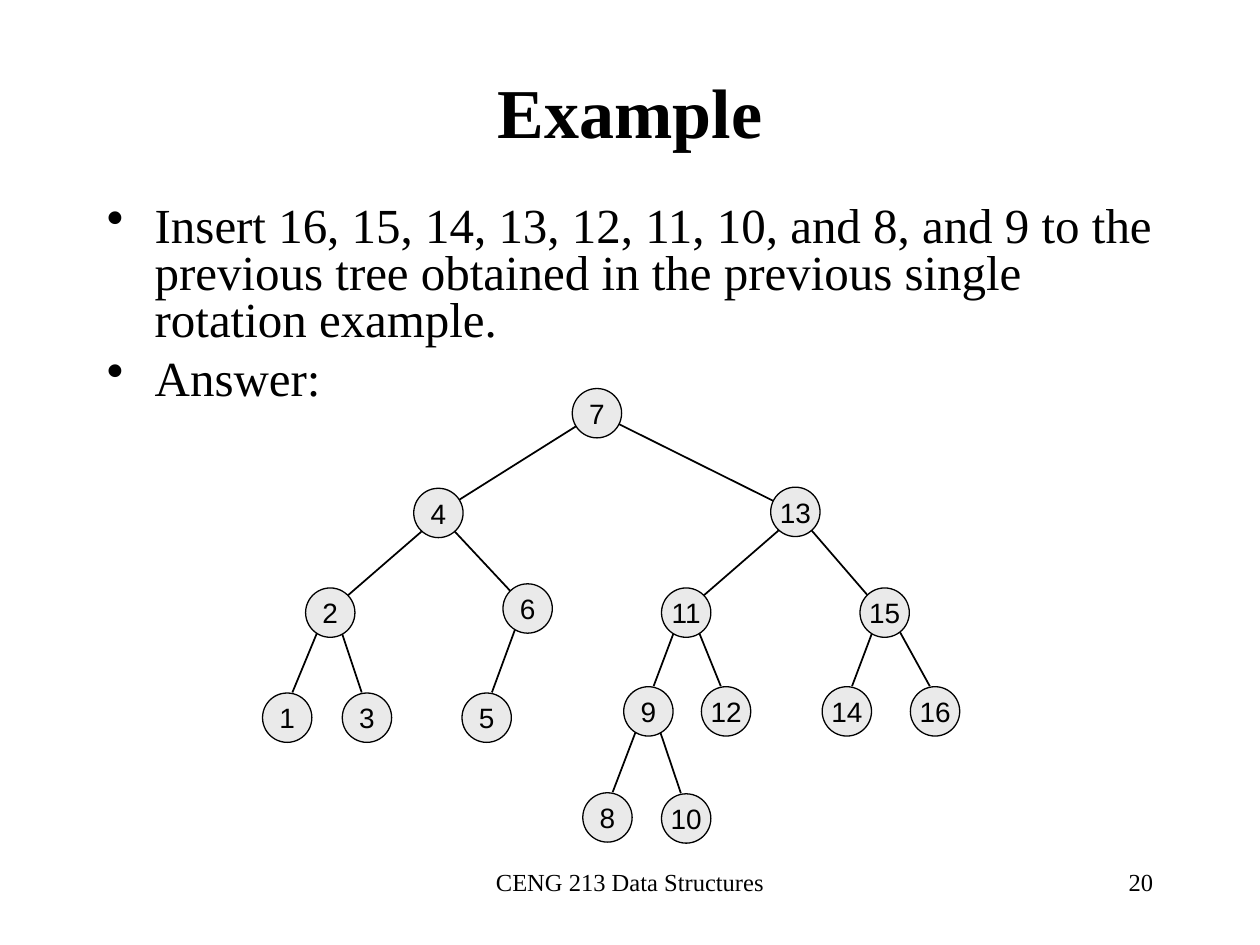
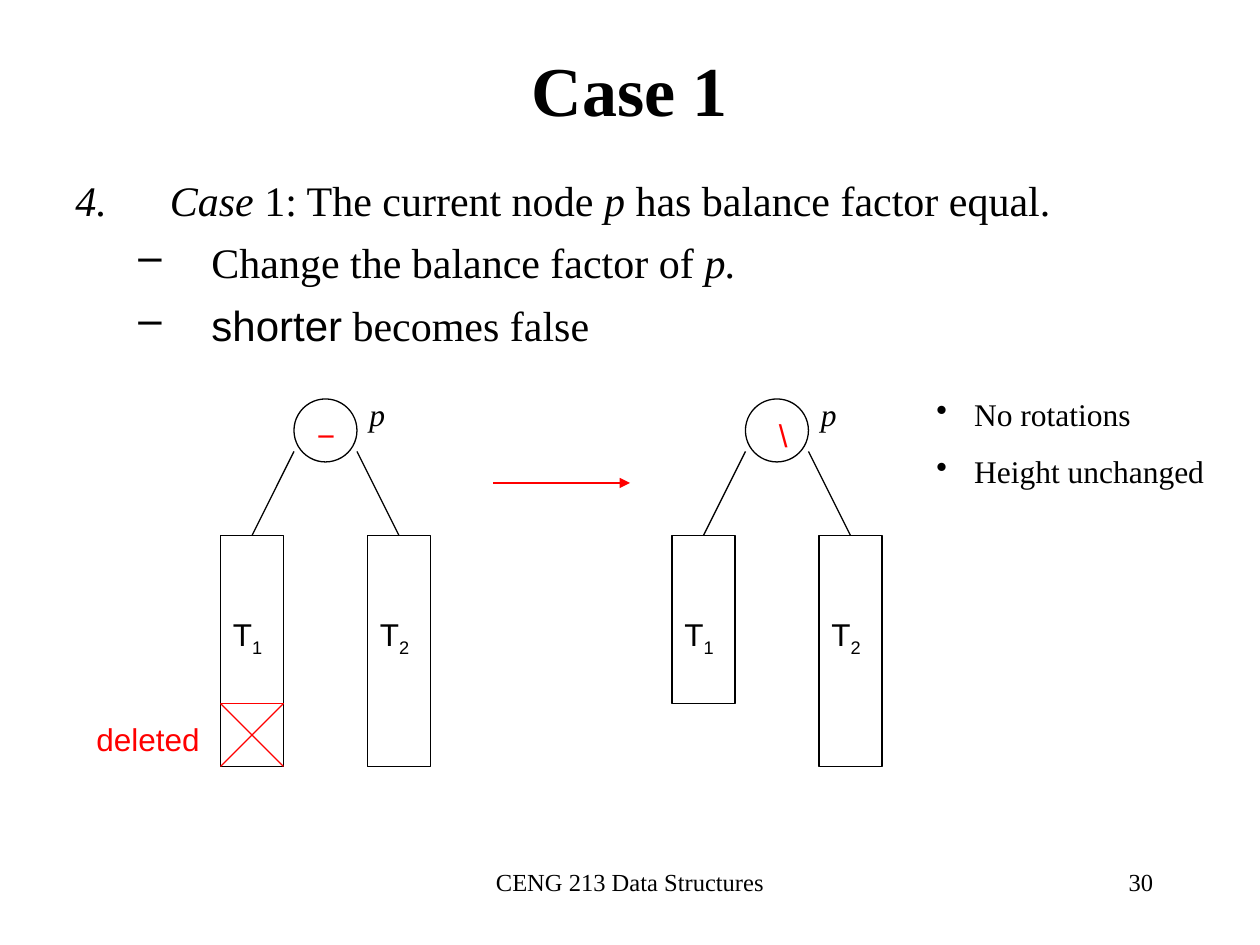
from dataclasses import dataclass

from lxml import etree
from pptx import Presentation
from pptx.dml.color import RGBColor
from pptx.enum.shapes import MSO_CONNECTOR, MSO_SHAPE
from pptx.enum.text import MSO_ANCHOR, MSO_AUTO_SIZE, PP_ALIGN
from pptx.oxml.ns import qn
from pptx.util import Inches, Pt

LEFT, MID, RIGHT = PP_ALIGN.LEFT, PP_ALIGN.CENTER, PP_ALIGN.RIGHT
CENTRE, FIXED = MSO_ANCHOR.MIDDLE, MSO_AUTO_SIZE.NONE
OVAL, RECT = MSO_SHAPE.OVAL, MSO_SHAPE.RECTANGLE
LINE = MSO_CONNECTOR.STRAIGHT
UNIT = Inches(1) / 12
DISC = 4.7


@dataclass(frozen=True)
class Theme:
    """Colours, fonts and type sizes of the deck."""

    ink: str = "000000"
    red: str = "FF0000"
    disc: str = "EAEAEA"
    serif: str = "Times New Roman"
    sans: str = "Arial"
    head: int = 40
    lead: int = 28
    body: int = 24
    note: int = 18
    node: int = 16
    foot: int = 14
    thin: float = 0.75


THEME = Theme()

NODES = {
    "7": (29.5, 0), "4": (14.4, 9.5), "13": (48.4, 9.4),
    "2": (4.1, 19), "6": (22.9, 18.6), "11": (38, 19), "15": (56.9, 19),
    "1": (0, 29), "3": (7.6, 29), "5": (19, 29), "9": (34.4, 28.4),
    "12": (41.8, 28.4), "14": (53.3, 28.4), "16": (61.7, 28.4),
    "8": (30.5, 38.5), "10": (38, 38.6),
}
TIERS = [
    (("7-4", "7-13"), (0, 0, 0, 0)),
    (("4-2", "4-6", "13-11", "13-15"), (1.4, 1.6, 1.4, 1.4)),
    (("2-1", "2-3", "6-5", "11-9", "11-12", "15-14", "15-16", "9-8", "9-10"),
     (0.5, 0.1, 0.5, 2.4)),
]


def cells(*spans):
    """Turn grid cells into slide lengths."""
    return [round(span * UNIT) for span in spans]


def style(run, size, face, tint, mark=""):
    """Format a run; mark holds b for bold, i for italic, s for subscript."""
    font = run.font
    font.size, font.name = Pt(size), face
    font.color.rgb = RGBColor.from_string(tint)
    font.bold, font.italic = "b" in mark, "i" in mark
    if "s" in mark:
        run._r.get_or_add_rPr().set("baseline", "-25000")


def write(par, bits, size, face=THEME.serif, tint=THEME.ink):
    """Write a string or (text, mark) bits; mark a picks the sans face."""
    for text, mark in [(bits, "")] if isinstance(bits, str) else bits:
        run = par.add_run()
        run.text = text
        style(run, size, THEME.sans if "a" in mark else face, tint, mark)


def box(slide, area, lines, size, face=THEME.serif, tint=THEME.ink,
        align=LEFT, gap=0):
    """Add a wrapped text box and return its paragraphs."""
    frame = slide.shapes.add_textbox(*cells(*area)).text_frame
    frame.word_wrap = True
    for row, bits in enumerate(lines):
        par = frame.add_paragraph() if row else frame.paragraphs[0]
        par.alignment = align
        if row:
            par.space_before = Pt(gap)
        write(par, bits, size, face, tint)
    return frame.paragraphs


def bullet(par, left, hang, tag="buChar", **attrs):
    """Hang a bullet or number in front of a paragraph."""
    props = par._p.get_or_add_pPr()
    props.set("marL", str(Inches(left)))
    props.set("indent", str(-Inches(hang)))
    etree.SubElement(props, qn("a:" + tag), attrs)


def shape(slide, kind, area, fill=None):
    """Add an outlined shape, hollow unless a fill is given."""
    item = slide.shapes.add_shape(kind, *cells(*area))
    item.shadow.inherit = False
    if fill:
        item.fill.solid()
        item.fill.fore_color.rgb = RGBColor.from_string(fill)
    else:
        item.fill.background()
    item.line.color.rgb = RGBColor.from_string(THEME.ink)
    item.line.width = Pt(THEME.thin)
    return item


def link(slide, ends, tint=THEME.ink, width=THEME.thin, arrow=False):
    """Draw a straight line, with an arrowhead if asked."""
    item = slide.shapes.add_connector(LINE, *cells(*ends))
    item.line.color.rgb = RGBColor.from_string(tint)
    item.line.width = Pt(width)
    if arrow:
        etree.SubElement(item.line._get_or_add_ln(), qn("a:tailEnd"),
                         type="triangle")
    etree.SubElement(item._element.spPr, qn("a:effectLst"))


def page(deck, title, high, number):
    """Start a slide with its title and footer."""
    slide = deck.slides.add_slide(deck.slide_layouts[5])
    head = slide.shapes.title
    head.left, head.top, head.width, head.height = cells(9, 5, 102, high)
    frame = head.text_frame
    frame.text = title
    frame.auto_size, frame.vertical_anchor = FIXED, CENTRE
    par = frame.paragraphs[0]
    par.alignment = MID
    style(par.runs[0], THEME.head, THEME.serif, THEME.ink, "b")
    box(slide, (41, 82, 38, 6), ["CENG 213 Data Structures"], THEME.foot,
        align=MID)
    box(slide, (86, 82, 25, 6), [number], THEME.foot, align=RIGHT)
    return slide


def tree(slide, left, top):
    """Draw the balanced tree from its top left corner."""
    spots = {key: (left + x, top + y) for key, (x, y) in NODES.items()}
    half = DISC / 2
    for edges, (out, down, back, rise) in TIERS:
        for edge in edges:
            (px, py), (cx, cy) = [spots[key] for key in edge.split("-")]
            side = 1 if cx > px else -1
            link(slide, (px + half + side * out, py + half + down,
                         cx + half - side * back, cy + half - rise), width=1)
    for key, (x, y) in spots.items():
        frame = shape(slide, OVAL, (x, y, DISC, DISC), THEME.disc).text_frame
        frame.word_wrap, frame.vertical_anchor = False, CENTRE
        frame.paragraphs[0].alignment = MID
        write(frame.paragraphs[0], key, THEME.node, THEME.sans)


def pair(slide, left, top, sign, shift, tall):
    """Draw node p over subtrees T1, of the given height, and T2."""
    shape(slide, OVAL, (left + 7, top + 1, 6, 6))
    box(slide, (left + 7 + shift, top + 2, 5, 4.8), [sign], THEME.note,
        THEME.sans, THEME.red)
    box(slide, (left + 13, top, 7, 4.8), [[("p", "i")]], THEME.note)
    for name, step, start, high in (("1", 0, 7, tall), ("2", 14, 13, 22)):
        x = left + step
        shape(slide, RECT, (x, top + 14, 6, high))
        link(slide, (left + start, top + 6, x + 3, top + 14))
        box(slide, (x, top + 21, 6, 5.3), [[("T", ""), (name, "s")]],
            THEME.note, THEME.sans)


def cross(slide, left, top, side):
    """Strike out the removed part of a subtree."""
    right, foot = left + side, top + side
    for ends in ((left, top, right, top), (left, top, right, foot),
                 (right, top, left, foot)):
        link(slide, ends, THEME.red)
    box(slide, (left - 13, top + 1, 14, 4.8), ["deleted"], THEME.note,
        THEME.sans, THEME.red)


def example(deck):
    """Build the insertion example."""
    slide = page(deck, "Example", 11, "20")
    lines = ["Insert 16, 15, 14, 13, 12, 11, 10, and 8, and 9 to the previous "
             "tree obtained in the previous single rotation example.",
             "Answer:"]
    for par in box(slide, (9, 19, 102, 22), lines, THEME.lead, gap=7):
        par.line_spacing = 0.8
        bullet(par, 0.38, 0.38, char="•")
    tree(slide, 25, 37)


def case(deck):
    """Build the first deletion case."""
    slide = page(deck, "Case 1", 6.8, "30")
    lines = [
        [("Case ", "i"), ("1: The current node ", ""), ("p", "i"),
         (" has balance factor equal.", "")],
        [("Change the balance factor of ", ""), ("p.", "i")],
        [("shorter", "a"), (" becomes false", "")],
    ]
    first, *rest = box(slide, (6, 16, 108, 19), lines, THEME.body, gap=7)
    bullet(first, 0.75, 0.75, "buAutoNum", type="arabicPeriod", startAt="4")
    for par in rest:
        par.level = 1
        bullet(par, 1.08, 0.58, char="–")
    pair(slide, 21, 37, "−", 1, 22)
    cross(slide, 21, 67, 6)
    pair(slide, 64, 37, "\\", 2, 16)
    link(slide, (47, 46, 60, 46), THEME.red, arrow=True)
    notes = ["No rotations", "Height unchanged"]
    for par in box(slide, (88, 37, 29, 10.3), notes, THEME.note, gap=11.2):
        bullet(par, 0.3, 0.3, char="•")


def main():
    """Build and save the deck."""
    deck = Presentation()
    deck.slide_width, deck.slide_height = Inches(10), Inches(7.5)
    example(deck)
    case(deck)
    deck.save("out.pptx")


if __name__ == "__main__":
    main()
